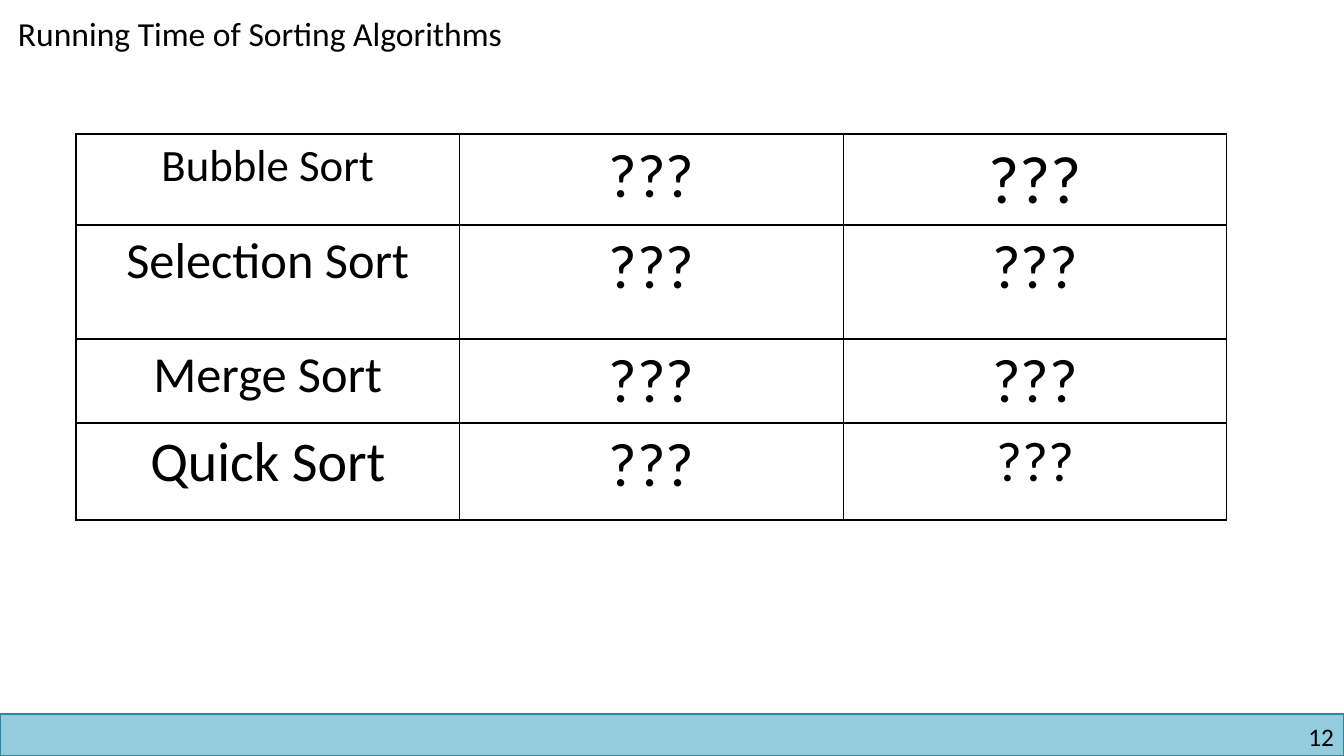
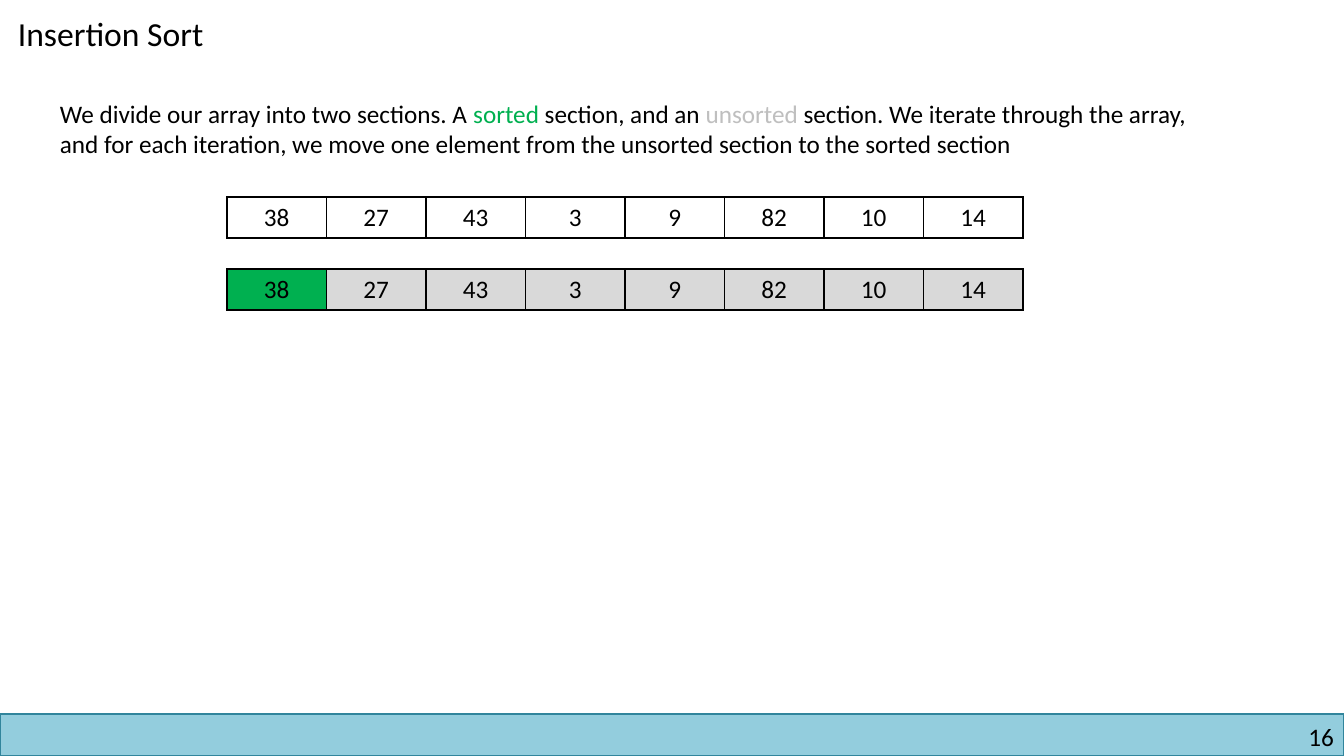
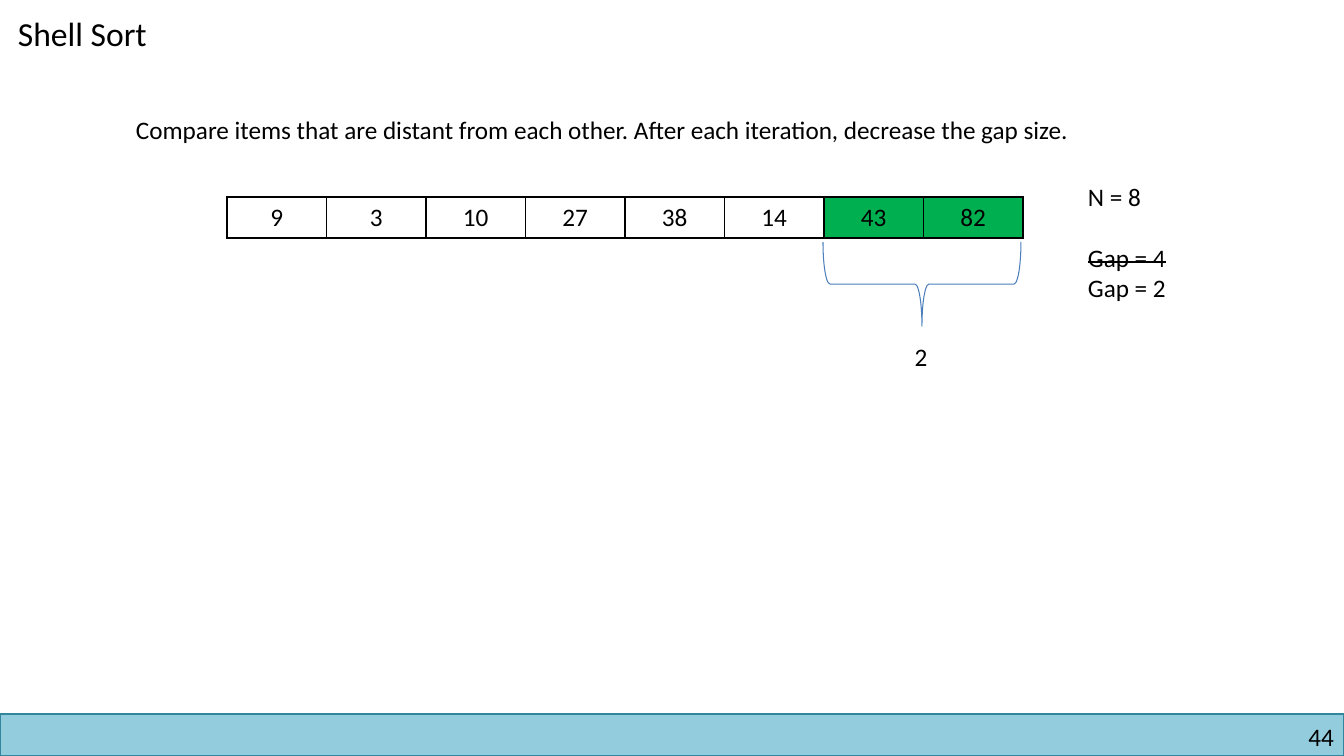
import pptx
import pptx.util
import pptx.dml.color
import pptx.enum.shapes
import pptx.enum.text
import pptx.oxml

RGB = pptx.dml.color.RGBColor
ALIGN = pptx.enum.text.PP_ALIGN
SHAPE = pptx.enum.shapes.MSO_SHAPE

# Content
ALGORITHMS = [
    [("Bubble Sort", 32), ("???", 44), ("???", 48)],
    [("Selection Sort", 36), ("???", 44), ("???", 44)],
    [("Merge Sort", 36), ("???", 44), ("???", 44)],
    [("Quick Sort", 40), ("???", 44), ("???", 40)],
]
ALGORITHM_HEIGHTS = [91, 114, 84, 97]
UNSORTED = [38, 27, 43, 3, 9, 82, 10, 14]
GAP_SORTED = [9, 3, 10, 27, 38, 14, 43, 82]

# Shared look
BLACK = RGB(0x00, 0x00, 0x00)
WHITE = RGB(0xFF, 0xFF, 0xFF)
GREEN = RGB(0x00, 0xB0, 0x50)
CELL_GREY = RGB(0xD9, 0xD9, 0xD9)
TEXT_GREY = RGB(0xBF, 0xBF, 0xBF)
BAND = RGB(0x93, 0xCD, 0xDD)
BAND_LINE = RGB(0x31, 0x85, 0x9C)
BRACE_BLUE = RGB(0x4B, 0x7E, 0xBC)
FONT = "Calibri"
WIDTH, HEIGHT = 1344, 756
ARRAY_X, ARRAY_Y, ARRAY_W, ARRAY_H = 227, 197, 796, 41

INTRO = [[
    "We divide our array into two sections. A ", ("sorted", {"color": GREEN}),
    " section, and an ", ("unsorted", {"color": TEXT_GREY}),
    " section. We iterate through the array, and for each iteration, we move "
    "one element from the unsorted section to the sorted section",
]]
GAPS = [["N = 8"], [("Gap = 4", {"strike": True})], ["Gap = 2"]]


def px(n):
    return pptx.util.Emu(round(n * 914400 / 100.8))


def write(tf, paragraphs, size=18, align=ALIGN.LEFT):
    """Fill a frame; a run is a string or (string, {color, strike})."""
    for i, runs in enumerate(paragraphs):
        p = tf.paragraphs[0] if i == 0 else tf.add_paragraph()
        p.alignment = align
        for run in runs:
            text, style = (run, {}) if isinstance(run, str) else run
            r = p.add_run()
            r.text = text
            r.font.size = pptx.util.Pt(size)
            r.font.name = FONT
            r.font.color.rgb = style.get("color", BLACK)
            if style.get("strike"):
                r.font._element.set("strike", "sngStrike")


def add_text(s, x, y, w, h, paragraphs, margins=True, **style):
    tf = s.shapes.add_textbox(px(x), px(y), px(w), px(h)).text_frame
    tf.word_wrap = True
    if not margins:
        tf.margin_left = tf.margin_top = tf.margin_right = tf.margin_bottom = 0
    write(tf, paragraphs, **style)
    return tf


def add_border(cell):
    tcPr = cell._tc.get_or_add_tcPr()
    for i, side in enumerate(("lnL", "lnR", "lnT", "lnB")):
        tcPr.insert(i, pptx.oxml.parse_xml(
            f'<a:{side} xmlns:a="http://schemas.openxmlformats.org/drawingml/2006/main" '
            f'w="12700"><a:solidFill><a:srgbClr val="{BLACK}"/></a:solidFill></a:{side}>'))


def add_grid(s, x, y, w, heights, rows, fills):
    """Table of (text, size) cells with equal columns."""
    n = len(rows[0])
    table = s.shapes.add_table(len(rows), n, px(x), px(y), px(w), px(sum(heights))).table
    table.first_row = table.horz_banding = False
    for column in table.columns:
        column.width = px(w / n)
    for i, row in enumerate(rows):
        table.rows[i].height = px(heights[i])
        for j, (text, size) in enumerate(row):
            cell = table.cell(i, j)
            cell.fill.solid()
            cell.fill.fore_color.rgb = fills[j]
            add_border(cell)
            write(cell.text_frame, [[text]], size=size, align=ALIGN.CENTER)


def add_array(s, y, values, fills):
    add_grid(s, ARRAY_X, y, ARRAY_W, [ARRAY_H], [[(str(v), 18) for v in values]], fills)


def add_slide(prs, title, number):
    s = prs.slides.add_slide(prs.slide_layouts[6])
    band = s.shapes.add_shape(SHAPE.RECTANGLE, 0, px(714), px(WIDTH), px(HEIGHT - 714))
    band.shadow.inherit = False
    band.fill.solid()
    band.fill.fore_color.rgb = BAND
    band.line.color.rgb = BAND_LINE
    band.line.width = pptx.util.Pt(1)
    add_text(s, 1025, 721, 309, 30, [[str(number)]], margins=False, align=ALIGN.RIGHT)
    add_text(s, 8, 8, 556, 50, [[title]], size=24)
    return s


def main():
    prs = pptx.Presentation()
    prs.slide_width, prs.slide_height = px(WIDTH), px(HEIGHT)

    # Running times
    s = add_slide(prs, "Running Time of Sorting Algorithms", 12)
    add_grid(s, 76, 134, 1151, ALGORITHM_HEIGHTS, ALGORITHMS, [WHITE] * 3)

    # Insertion sort
    s = add_slide(prs, "Insertion Sort", 16)
    add_text(s, 50, 93, 1184, 71, INTRO)
    add_array(s, ARRAY_Y, UNSORTED, [WHITE] * 8)
    add_array(s, 269, UNSORTED, [GREEN] + [CELL_GREY] * 7)

    # Shell sort
    s = add_slide(prs, "Shell Sort", 44)
    add_text(s, 126, 109, 1044, 40, [[
        "Compare items that are distant from each other. "
        "After each iteration, decrease the gap size."]])
    add_array(s, ARRAY_Y, GAP_SORTED, [WHITE] * 6 + [GREEN] * 2)
    tf = add_text(s, 1078, 176, 112, 132, GAPS)
    tf.paragraphs[1].space_before = pptx.util.Pt(22)

    # Brace under the compared pair, turned to point down
    brace = s.shapes.add_shape(SHAPE.LEFT_BRACE, px(880), px(185), px(84), px(198))
    brace.rotation = 270
    brace.shadow.inherit = False
    brace.fill.background()
    brace.line.color.rgb = BRACE_BLUE
    brace.line.width = pptx.util.Pt(0.75)
    add_text(s, 904, 336, 34, 40, [["2"]], align=ALIGN.CENTER)

    prs.save("out.pptx")


if __name__ == "__main__":
    main()
